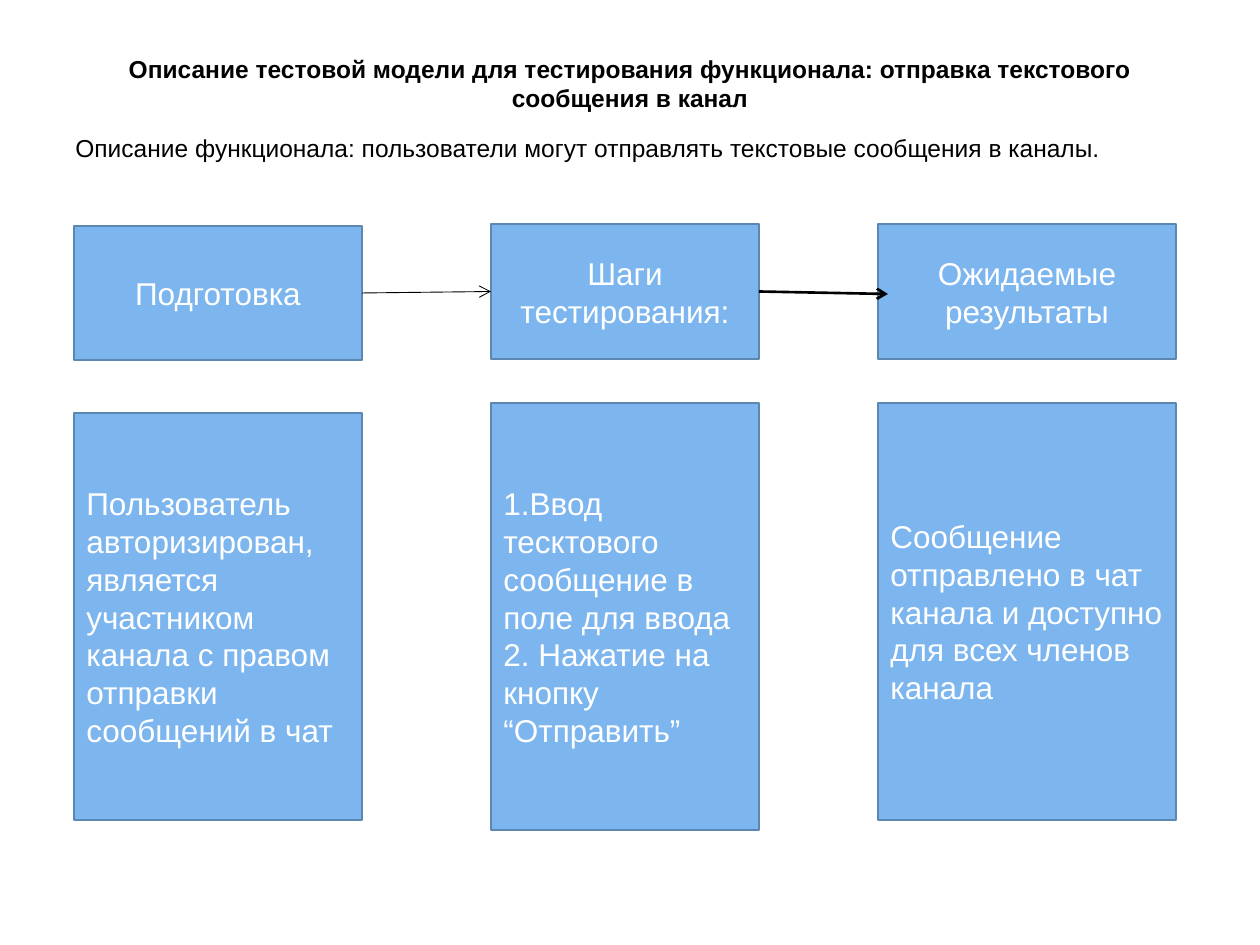
from lxml import etree
from pptx import Presentation
from pptx.dml.color import RGBColor
from pptx.enum.shapes import MSO_CONNECTOR, MSO_SHAPE
from pptx.enum.text import MSO_ANCHOR, PP_ALIGN
from pptx.oxml.ns import qn
from pptx.util import Emu, Pt

PX_PER_INCH = 126
FONT = "Arial"
BLACK, WHITE, BOX_FILL, BOX_LINE = "000000", "FFFFFF", "7DB6EF", "5C87B1"
RIGHT_SIDE, LEFT_SIDE = 3, 1

TITLE = ("Описание тестовой модели для тестирования функционала: "
         "отправка текстового сообщения в канал")
SUMMARY = ("Описание функционала: пользователи могут отправлять "
           "текстовые сообщения в каналы.")

# Each stage: left and width, then (text, top, height) of its heading and details
STAGES = [
    {"left": 74, "width": 288,
     "heading": ("Подготовка", 226, 134),
     "details": ("Пользователь авторизирован, является участником канала "
                 "с правом отправки сообщений в чат", 413, 407)},
    {"left": 491, "width": 268,
     "heading": ("Шаги тестирования:", 224, 135),
     "details": ("1.Ввод тесктового сообщение в поле для ввода\n"
                 "2. Нажатие на кнопку “Отправить”", 403, 427)},
    {"left": 878, "width": 298,
     "heading": ("Ожидаемые результаты", 224, 135),
     "details": ("Сообщение отправлено в чат канала и доступно "
                 "для всех членов канала", 403, 417)},
]
RESULT_ARROW_END = (888, 294)  # this arrow runs a little way into its target


def px(length):
    return Emu(round(length * 914400 / PX_PER_INCH))


def rgb(color):
    return RGBColor.from_string(color)


def write(shape, text, size, color, align, anchor, bold=False):
    frame = shape.text_frame
    frame.text = text
    frame.word_wrap = True
    frame.vertical_anchor = anchor
    for paragraph in frame.paragraphs:
        paragraph.alignment = align
        for run in paragraph.runs:
            run.font.name = FONT
            run.font.size = Pt(size)
            run.font.bold = bold
            run.font.color.rgb = rgb(color)


def add_text(slide, box, text, align, anchor, bold=False):
    textbox = slide.shapes.add_textbox(*map(px, box))
    write(textbox, text, 14, BLACK, align, anchor, bold)
    return textbox


def add_box(slide, stage, part, align):
    text, top, height = stage[part]
    box = slide.shapes.add_shape(
        MSO_SHAPE.RECTANGLE,
        *map(px, (stage["left"], top, stage["width"], height)))
    box.shadow.inherit = False
    box.fill.solid()
    box.fill.fore_color.rgb = rgb(BOX_FILL)
    box.line.color.rgb = rgb(BOX_LINE)
    box.line.width = Pt(1)
    write(box, text, 18, WHITE, align, MSO_ANCHOR.MIDDLE)
    return box


def add_arrow(slide, source, width, end=(0, 0)):
    """Start an arrow at the right side of source and lead it to end."""
    arrow = slide.shapes.add_connector(
        MSO_CONNECTOR.STRAIGHT, 0, 0, *map(px, end))
    arrow.begin_connect(source, RIGHT_SIDE)
    arrow.line.color.rgb = rgb(BLACK)
    arrow.line.width = Pt(width)
    etree.SubElement(arrow.line._get_or_add_ln(), qn("a:tailEnd"), type="arrow")
    etree.SubElement(arrow._element.spPr, qn("a:effectLst"))
    return arrow


def main():
    presentation = Presentation()
    presentation.slide_width, presentation.slide_height = px(1260), px(945)
    slide = presentation.slides.add_slide(presentation.slide_layouts[6])

    add_text(slide, (63, 38, 1134, 90), TITLE,
             PP_ALIGN.CENTER, MSO_ANCHOR.MIDDLE, bold=True)
    summary = add_text(slide, (63, 127, 1134, 717), SUMMARY,
                       PP_ALIGN.LEFT, MSO_ANCHOR.TOP)
    summary.text_frame.paragraphs[0].space_before = Pt(2.8)

    preparation, steps, _ = [
        add_box(slide, stage, "heading", PP_ALIGN.CENTER) for stage in STAGES]
    add_arrow(slide, preparation, 0.5).end_connect(steps, LEFT_SIDE)
    add_arrow(slide, steps, 1.5, RESULT_ARROW_END)
    for stage in STAGES:
        add_box(slide, stage, "details", PP_ALIGN.LEFT)

    presentation.save("out.pptx")


if __name__ == "__main__":
    main()
